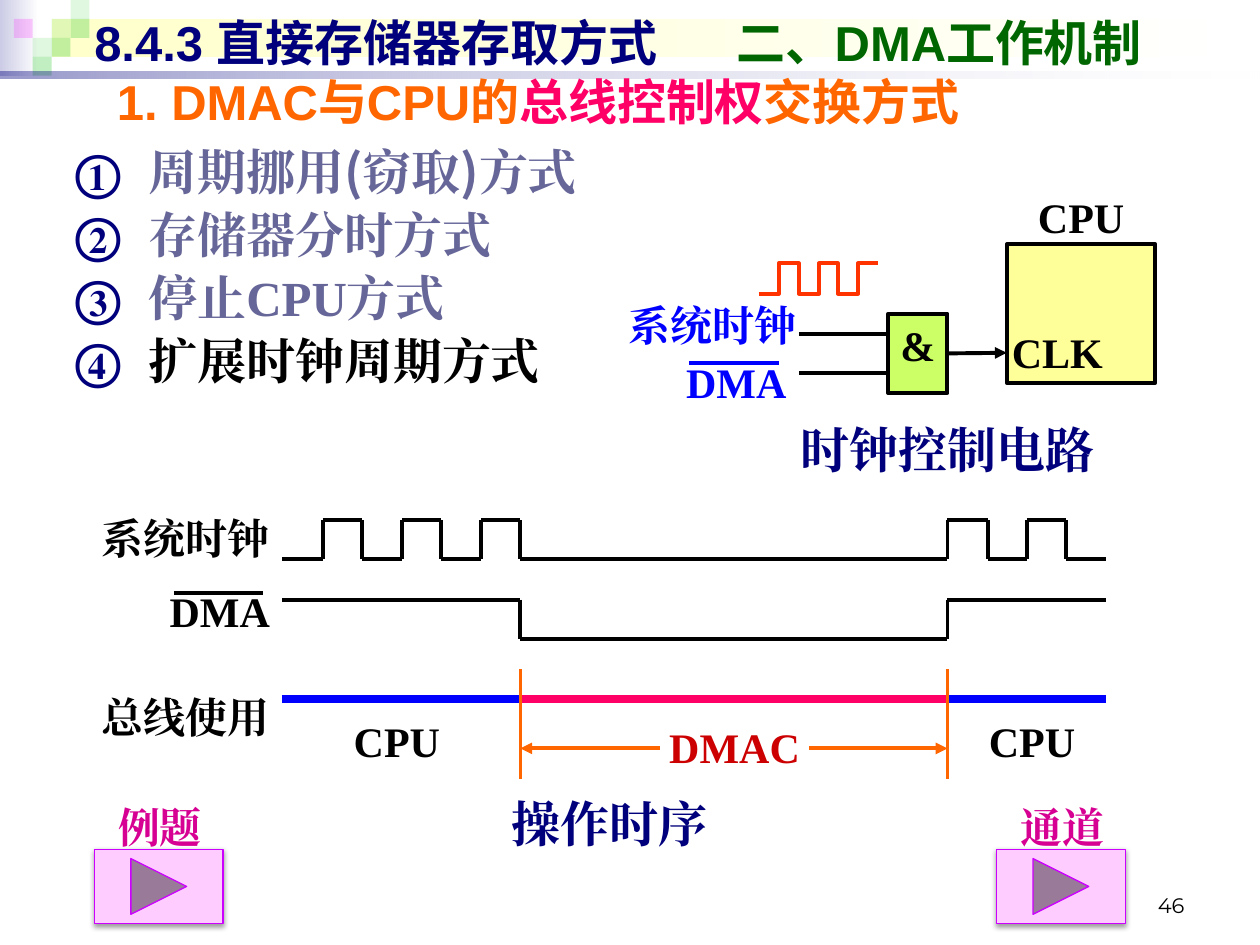
from itertools import pairwise

from pptx import Presentation
from pptx.dml.color import RGBColor
from pptx.enum.shapes import MSO_CONNECTOR, MSO_SHAPE
from pptx.enum.text import MSO_ANCHOR, PP_ALIGN
from pptx.oxml.ns import qn
from pptx.oxml.xmlchemy import OxmlElement
from pptx.util import Pt

SCALE = 9144  # EMU per px, 100 px to the inch
RECT = MSO_SHAPE.RECTANGLE
BUTTON = MSO_SHAPE.ACTION_BUTTON_FORWARD_OR_NEXT
STRAIGHT = MSO_CONNECTOR.STRAIGHT
LEFT, CENTER, RIGHT = PP_ALIGN.LEFT, PP_ALIGN.CENTER, PP_ALIGN.RIGHT
TOP, MIDDLE, BOTTOM = MSO_ANCHOR.TOP, MSO_ANCHOR.MIDDLE, MSO_ANCHOR.BOTTOM


class Theme:
    navy, green, slate, black, blue = "00007D", "006600", "666699", "000000", "0000FF"
    orange, pink, red, crimson, magenta = "FF6600", "FF0066", "FF3300", "CC0000", "D60093"
    white, lavender, cream, mosaic, violet = "FFFFFF", "CCCCE6", "FFFFCC", "33CC33", "FF00FF"
    cpu, gate, button, button_edge = "FFFF99", "CCFF66", "FFCCFF", "CC00FF"
    sans, serif, cjk, number = "Arial", "Times New Roman", "Noto Sans CJK SC", "Montserrat"
    heading, label, small = 28, 24, 12
    thin, line, thick = 1.5, 2.25, 4.5


def px(*values):
    return [round(value * SCALE) for value in values]


def rgb(code):
    return RGBColor.from_string(code)


def add_node(parent, tag, **attributes):
    node = OxmlElement(tag)
    for name, value in attributes.items():
        node.set(name, str(value))
    parent.append(node)
    return node


def add_span(para, text, size=Theme.label, font=Theme.serif, color=Theme.black, bold=True):
    span = para.add_run()
    span.text = text
    span.font.size, span.font.name, span.font.bold = Pt(size), font, bold
    span.font.color.rgb = rgb(color)
    add_node(span.font._element, "a:ea", typeface=font)


def set_frame(box, anchor=TOP, wrap=True):
    frame = box.text_frame
    frame.word_wrap, frame.vertical_anchor = wrap, anchor
    return frame


def add_text(page, at, spans, align=LEFT, anchor=TOP, wrap=True):
    """Add a one-paragraph text box; spans are (text, format) pairs."""
    para = set_frame(page.shapes.add_textbox(*px(*at)), anchor, wrap).paragraphs[0]
    para.alignment = align
    for text, style in spans:
        add_span(para, text, **style)
    return para


def add_box(page, at, fill, line=None, width=Theme.line, kind=RECT):
    box = page.shapes.add_shape(kind, *px(*at))
    box.shadow.inherit = False
    box.fill.solid()
    box.fill.fore_color.rgb = rgb(fill)
    if line:
        box.line.color.rgb, box.line.width = rgb(line), Pt(width)
    else:
        box.line.fill.background()
    return box


def set_alpha(box, *percents):
    for color, percent in zip(box._element.spPr.iter(qn("a:srgbClr")), percents):
        add_node(color, "a:alpha", val=percent * 1000)


def add_gradient(page, at, start, end):
    box = add_box(page, at, start)
    box.fill.gradient()
    box.fill.gradient_angle = 0
    for stop, color in zip(box.fill.gradient_stops, (start, end)):
        stop.color.rgb = rgb(color)
    return box


def add_line(page, start, end, color=Theme.black, width=Theme.line, arrow=False):
    line = page.shapes.add_connector(STRAIGHT, *px(*start, *end))
    line.line.color.rgb, line.line.width = rgb(color), Pt(width)
    if arrow:
        add_node(line.line._get_or_add_ln(), "a:tailEnd", type="triangle")
    add_node(line._element.spPr, "a:effectLst")
    return line


def wave_points(start, end, edges, level, other):
    """Corners of a square wave that switches level at every edge."""
    points = [(start, level)]
    for edge in edges:
        points += [(edge, level), (edge, other)]
        level, other = other, level
    return points + [(end, level)]


def add_wave(page, points):
    for start, end in pairwise(points):
        add_line(page, start, end)


def add_button(page, left, caption):
    add_text(page, (left + 8, 631, 88, 50), [(caption, {"color": Theme.magenta})], CENTER, wrap=False)
    box = add_box(page, (left, 674, 102, 59), Theme.button, Theme.button_edge, 0.75, BUTTON)
    effects = box._element.spPr.find(qn("a:effectLst"))
    shadow = add_node(effects, "a:outerShdw", blurRad=Pt(3.1), dist=Pt(1.6), dir=90 * 60000, rotWithShape=0)
    add_node(add_node(shadow, "a:srgbClr", val=Theme.black), "a:alpha", val=38000)


def add_backdrop(page):
    add_gradient(page, (0, 0, 31, 60), Theme.lavender, Theme.white)
    add_gradient(page, (41, 15, 955, 30), Theme.cream, Theme.white)
    tiles = [(2, 1, 15), (3, 0, 15), (3, 1, 30), (1, 2, 15), (0, 1, 20), (2, 2, 30), (1, 3, 30)]
    for column, row, alpha in tiles:
        color = Theme.mosaic if column else Theme.violet
        set_alpha(add_box(page, (11 + 15 * column, 15 * row, 15, 15), color), alpha)
    set_alpha(add_gradient(page, (0, 57, 1000, 5), Theme.navy, Theme.white), 40, 10)


def add_headings(page):
    style = {"size": Theme.heading, "font": Theme.sans}
    title = add_text(page, (65, 5, 900, 57), [
        ("8.4.3 直接存储器存取方式\t", style | {"color": Theme.navy}),
        ("二、DMA工作机制", style | {"color": Theme.green})], anchor=MIDDLE)
    tabs = add_node(title._p.get_or_add_pPr(), "a:tabLst")
    add_node(tabs, "a:tab", pos=px(510)[0], algn="l")
    add_text(page, (83, 52, 884, 57), [
        ("1. DMAC与CPU的", style | {"color": Theme.orange}),
        ("总线控制权", style | {"color": Theme.pink}),
        ("交换方式", style | {"color": Theme.orange})], anchor=MIDDLE)


def add_methods(page):
    items = [["周期挪用", "(", "窃取", ")", "方式"], ["存储器分时方式"], ["停止CPU方式"], ["扩展时钟周期方式"]]
    frame = set_frame(page.shapes.add_textbox(*px(50, 110, 915, 217)))
    for index, parts in enumerate(items):
        para = frame.add_paragraph() if index else frame.paragraphs[0]
        para.line_spacing = Pt(32)
        if index:
            para.space_before = Pt(4)
        props = para._p.get_or_add_pPr()
        props.set("marL", str(px(58)[0]))
        props.set("indent", str(px(-58)[0]))
        add_node(add_node(props, "a:buClr"), "a:srgbClr", val=Theme.navy)
        add_node(props, "a:buAutoNum", type="circleNumDbPlain")
        color = Theme.black if index == len(items) - 1 else Theme.slate
        for part in parts:
            font = Theme.cjk if part in "()" else Theme.serif
            add_span(para, part, Theme.heading, font, color)


def add_circuit(page):
    # CPU block and AND gate
    cpu = add_box(page, (799, 194, 118, 110), Theme.cpu, Theme.black)
    frame = set_frame(cpu, BOTTOM, wrap=False)
    frame.margin_left = px(4)[0]
    frame.paragraphs[0].alignment = LEFT
    add_span(frame.paragraphs[0], "CLK")
    gate = add_box(page, (705, 249, 47, 63), Theme.gate, Theme.black)
    frame = set_frame(gate, TOP, wrap=False)
    frame.paragraphs[0].alignment = CENTER
    add_span(frame.paragraphs[0], "&")
    # Wires
    for y in (265, 296):
        add_line(page, (634, y), (705, y))
    add_line(page, (752, 280), (799, 280), arrow=True).begin_connect(gate, 3)
    add_line(page, (547, 288), (618, 288), Theme.blue)
    # Clock pulses
    first, *rest = wave_points(602, 697, (618, 634, 650, 665, 681), 233, 209)
    builder = page.shapes.build_freeform(*first, scale=SCALE)
    builder.add_line_segments(rest, close=False)
    pulses = builder.convert_to_shape()
    pulses.shadow.inherit = False
    pulses.fill.background()
    pulses.line.color.rgb, pulses.line.width = rgb(Theme.red), Pt(Theme.line)


def add_timing(page):
    start, take, give, end = 224, 413, 752, 878
    clock_edges = (256, 287, 319, 350, 382, take, give, 784, 815, 846)
    add_wave(page, wave_points(start, end, clock_edges, 444, 413))
    add_wave(page, wave_points(start, end, (take, give), 476, 507))
    add_line(page, (138, 471), (209, 471))
    # Bus use
    for left, right, color in ((start, take, Theme.blue), (take, give, Theme.pink), (give, end, Theme.blue)):
        add_line(page, (left, 555), (right, 555), color, Theme.thick)
    for edge, inner in ((take, 524), (give, 642)):
        add_line(page, (edge, 531), (edge, 618), Theme.orange, Theme.thin)
        add_line(page, (inner, 594), (edge, 594), Theme.orange, arrow=True)


def add_labels(page):
    caption = {"size": Theme.heading, "color": Theme.navy}
    blue = {"color": Theme.blue}
    labels = [
        ("CPU", (799, 147, 118), CENTER, {}),
        ("系统时钟", (461, 233, 181), RIGHT, blue),
        ("DMA", (516, 278, 118), RIGHT, blue),
        ("时钟控制电路", (610, 328, 284), CENTER, caption),
        ("CPU", (256, 563, 118), CENTER, {}),
        ("CPU", (760, 563, 118), CENTER, {}),
        ("DMAC", (508, 568, 150), CENTER, {"color": Theme.crimson}),
        ("系统时钟", (19, 402, 205), RIGHT, {}),
        ("DMA", (106, 460, 118), RIGHT, {}),
        ("总线使用", (19, 544, 205), RIGHT, {}),
        ("操作时序", (342, 625, 284), CENTER, caption),
    ]
    for text, place, align, style in labels:
        height = 57 if style is caption else 50
        add_text(page, (*place, height), [(text, style)], align)


def main():
    deck = Presentation()
    deck.slide_width, deck.slide_height = px(1000, 750)
    page = deck.slides.add_slide(deck.slide_layouts[6])
    add_backdrop(page)
    number = {"size": Theme.small, "font": Theme.number, "bold": False}
    add_text(page, (717, 683, 233, 50), [("46", number)], RIGHT, BOTTOM)
    add_headings(page)
    add_methods(page)
    add_circuit(page)
    add_timing(page)
    add_labels(page)
    add_button(page, 791, "通道")
    add_button(page, 75, "例题")
    deck.save("out.pptx")


if __name__ == "__main__":
    main()
